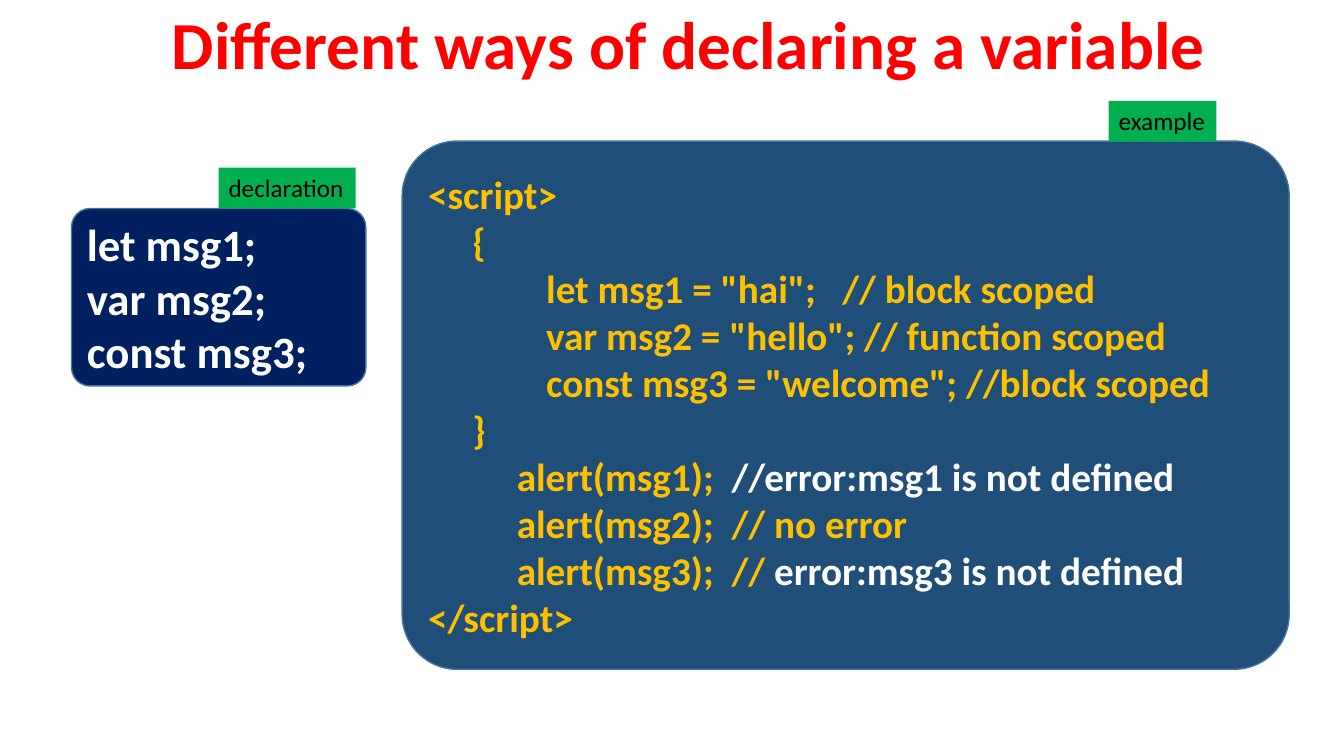
from dataclasses import dataclass

from pptx import Presentation
from pptx.dml.color import RGBColor
from pptx.enum import shapes, text
from pptx.util import Pt


@dataclass(frozen=True)
class Theme:
    font: str = "Calibri"
    red: str = "FF0000"
    gold: str = "FFC000"
    white: str = "FFFFFF"
    black: str = "000000"
    blue: str = "1F4E79"
    navy: str = "002060"
    edge: str = "43739E"
    green: str = "00B050"
    title: int = 48
    decl: int = 32
    code: int = 28
    label: int = 18


theme = Theme()


def style(font, size, color, bold=True):
    font.name = theme.font
    font.size = Pt(size)
    font.bold = bold
    font.color.rgb = RGBColor.from_string(color)


def panel(kind, box, fill, lines, size, color, bold=True):
    """Add a filled shape; each line is an indent and its (text, color) parts."""
    shape = slide.shapes.add_shape(kind, *map(Pt, box))
    shape.shadow.inherit = False
    shape.fill.solid()
    shape.fill.fore_color.rgb = RGBColor.from_string(fill)
    frame = shape.text_frame
    frame.vertical_anchor = text.MSO_ANCHOR.MIDDLE
    frame.word_wrap = True
    for i, (indent, parts) in enumerate(lines):
        para = frame.add_paragraph() if i else frame.paragraphs[0]
        para.alignment = text.PP_ALIGN.LEFT
        style(para.font, size, color, bold)
        if indent:
            props = para._p.get_or_add_pPr()
            props.set("marL", str(Pt(indent)))
            props.set("indent", "0")
        for words, tint in parts:
            run = para.add_run()
            run.text = words
            style(run.font, size, tint, bold)
    return shape


deck = Presentation()
deck.slide_width, deck.slide_height = Pt(960), Pt(540)
slide = deck.slides.add_slide(deck.slide_layouts[6])

title = slide.shapes.add_textbox(Pt(64), Pt(5), Pt(856), Pt(78))
title.text_frame.word_wrap = True
head = title.text_frame.paragraphs[0]
head.text = "Different ways of declaring a variable"
head.alignment = text.PP_ALIGN.CENTER
head.line_spacing = 0.9
style(head.font, theme.title, theme.red)

# Code indents: braces, calls outside the block, statements inside it
BRACE, CALL, BODY = 31.6, 63.3, 84.3
gold, white = theme.gold, theme.white
code = [
    (0, [("<script>", gold)]),
    (BRACE, [("{", gold)]),
    (BODY, [('let msg1 = "hai";   // block scoped', gold)]),
    (BODY, [('var msg2 = "hello"; // function scoped', gold)]),
    (BODY, [('const msg3 = "welcome"; //block scoped', gold)]),
    (BRACE, [("}", gold)]),
    (CALL, [("alert(msg1);  ", gold), ("//error:msg1 is not defined", white)]),
    (CALL, [("alert(msg2);  // no error", gold)]),
    (CALL, [("alert(msg3);  // ", gold), ("error:msg3 is not defined", white)]),
    (0, [("</script>", gold)]),
]
decl = [(0, [(words, white)]) for words in ("let msg1;", "var msg2;", "const msg3;")]

for box, fill, lines, size, color in (
    ((287.3, 100.8, 633.6, 377.3), theme.blue, code, theme.code, gold),
    ((51.1, 149, 210.2, 126.7), theme.navy, decl, theme.decl, white),
):
    card = panel(shapes.MSO_SHAPE.ROUNDED_RECTANGLE, box, fill, lines, size, color)
    card.adjustments[0] = 0.104
    card.line.color.rgb = RGBColor.from_string(theme.edge)
    card.line.width = Pt(1)

for words, left, top, width in (
    ("example", 792, 72, 77),
    ("declaration", 156.2, 119.8, 97.9),
):
    tag = panel(shapes.MSO_SHAPE.RECTANGLE, (left, top, width, 29.1), theme.green,
                [(0, [(words, theme.black)])], theme.label, theme.black, False)
    tag.line.fill.background()
    tag.text_frame.word_wrap = False
    tag.text_frame.vertical_anchor = text.MSO_ANCHOR.TOP
    tag.text_frame.auto_size = text.MSO_AUTO_SIZE.SHAPE_TO_FIT_TEXT

deck.save("out.pptx")
